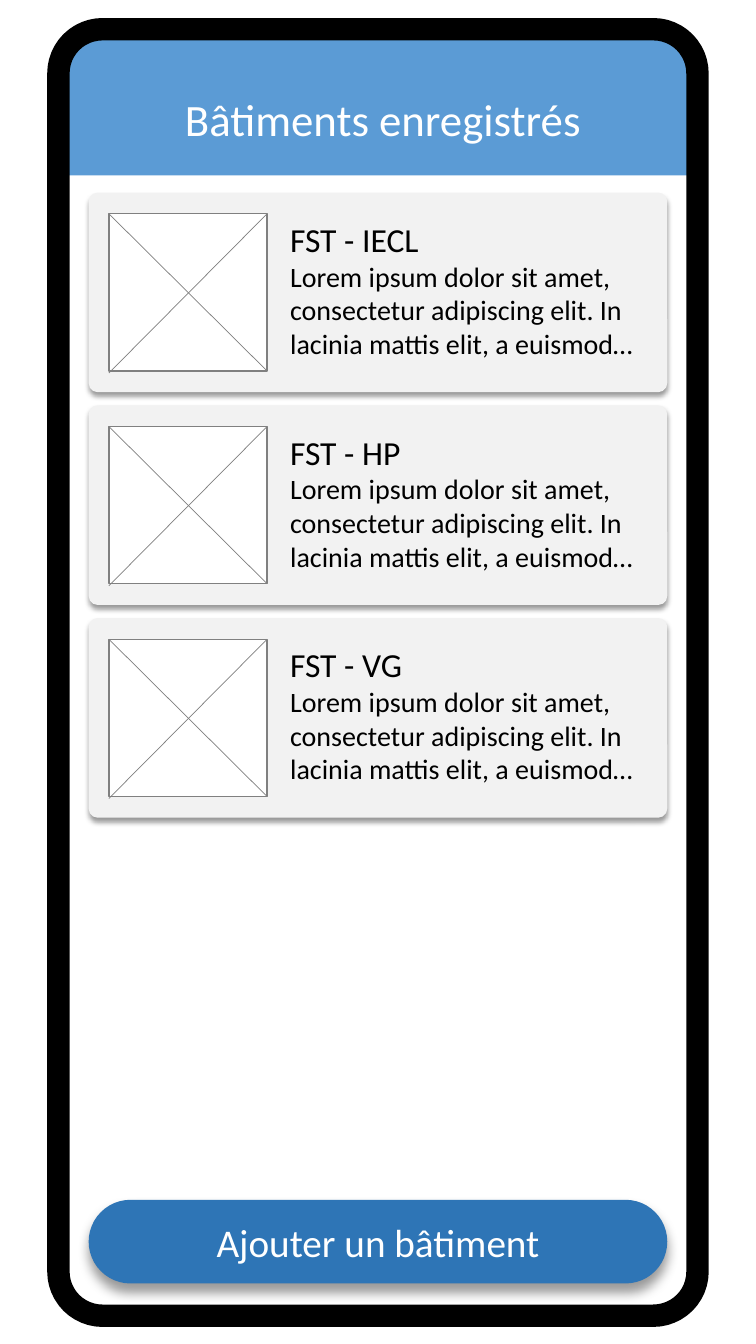
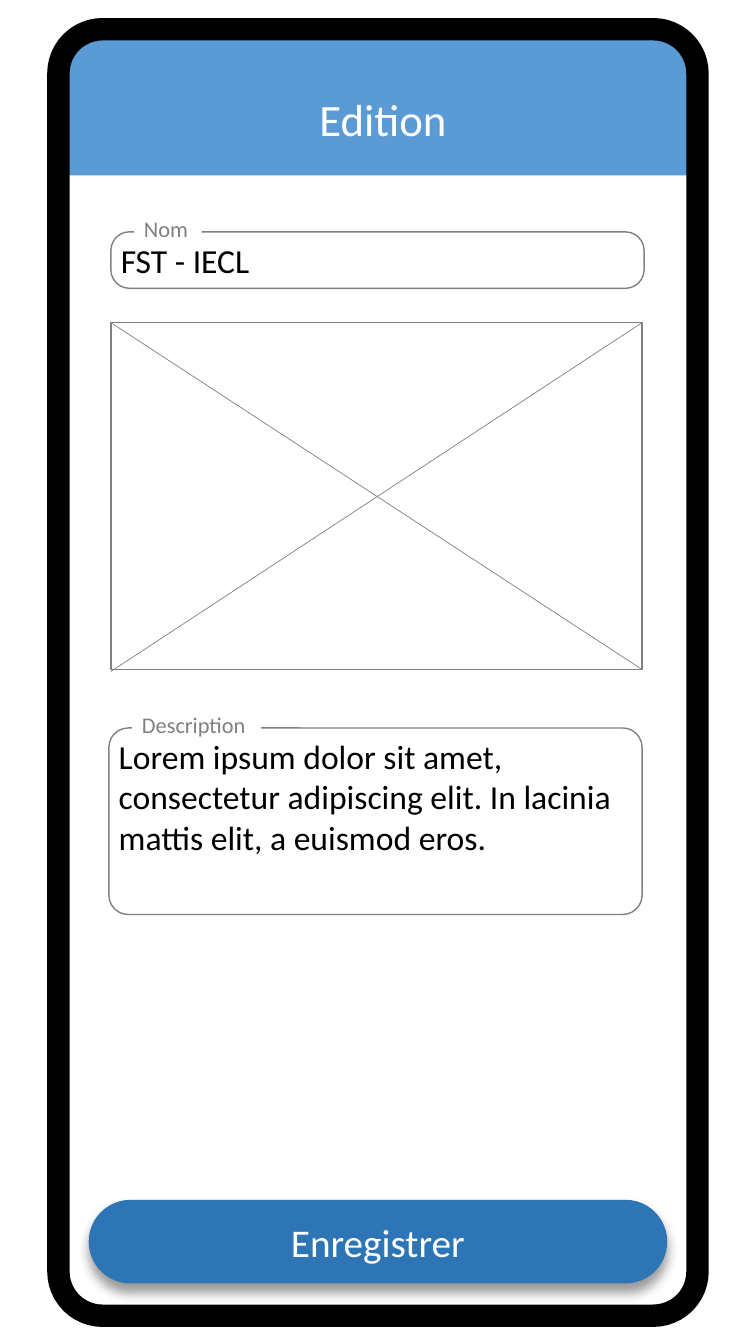
import pptx
import pptx.util
import pptx.dml.color
import pptx.enum.shapes
import pptx.enum.text
import pptx.oxml.ns
import lxml.etree

Inches = pptx.util.Inches
Pt = pptx.util.Pt
RGBColor = pptx.dml.color.RGBColor
Kind = pptx.enum.shapes.MSO_SHAPE
Align = pptx.enum.text.PP_ALIGN
Anchor = pptx.enum.text.MSO_ANCHOR
qn = pptx.oxml.ns.qn

SKY = RGBColor(0x5B, 0x9B, 0xD5)
BLUE = RGBColor(0x2E, 0x75, 0xB6)
PALE = RGBColor(0xF2, 0xF2, 0xF2)
GRAY = RGBColor(0x80, 0x80, 0x80)
WHITE = RGBColor(0xFF, 0xFF, 0xFF)
BLACK = RGBColor(0, 0, 0)
FONT = "Calibri"
LOREM = "Lorem ipsum dolor sit amet, consectetur adipiscing elit. In lacinia mattis elit, a euismod"


def draw(slide, kind, at, fill=None, line=None, width=1, round=None, blur=0, drop=0):
    shape = slide.shapes.add_shape(kind, *map(Inches, at))
    shape.shadow.inherit = False
    if fill is None:
        shape.fill.background()
    else:
        shape.fill.solid()
        shape.fill.fore_color.rgb = fill
    if line is None:
        shape.line.fill.background()
    else:
        shape.line.color.rgb = line
        shape.line.width = Pt(width)
    if round is not None:
        shape.adjustments[0] = round
    if blur:
        effect = shape.element.spPr.find(qn("a:effectLst"))
        shade = lxml.etree.SubElement(
            effect, qn("a:outerShdw"), blurRad=str(Pt(blur)), dist=str(Pt(drop)),
            dir="5400000", algn="t", rotWithShape="0")
        tint = lxml.etree.SubElement(shade, qn("a:srgbClr"), val=str(BLACK))
        lxml.etree.SubElement(tint, qn("a:alpha"), val="40000")
    return shape


def write(shape, lines, color, align=Align.LEFT, anchor=Anchor.TOP):
    frame = shape.text_frame
    frame.word_wrap = True
    frame.auto_size = pptx.enum.text.MSO_AUTO_SIZE.NONE
    frame.vertical_anchor = anchor
    frame.text = "\n".join(text for text, size in lines)
    for para, (text, size) in zip(frame.paragraphs, lines):
        para.alignment = align
        font = para.runs[0].font
        font.name = FONT
        font.size = Pt(size)
        font.color.rgb = color


deck = pptx.Presentation()
deck.slide_width = Inches(7.5)
deck.slide_height = Inches(13.33)

pages = []
for heading, action in [
    ("Bâtiments enregistrés", "Ajouter un bâtiment"),
    ("Edition", "Enregistrer"),
]:
    slide = deck.slides.add_slide(deck.slide_layouts[5])
    band = draw(slide, Kind.ROUND_2_SAME_RECTANGLE, (0.58, 0.29, 6.34, 1.45), SKY, round=0.345)
    title = slide.shapes.title
    title.left, title.top = Inches(1.47), Inches(0.86)
    title.width, title.height = Inches(4.66), Inches(0.64)
    write(title, [(heading, 32)], WHITE, Align.CENTER)
    band.element.addnext(title.element)
    draw(slide, Kind.ROUNDED_RECTANGLE, (0.58, 0.29, 6.34, 12.76), line=BLACK, width=16, round=0.069)
    button = draw(slide, Kind.ROUNDED_RECTANGLE, (0.88, 11.9, 5.74, 0.83), BLUE, round=0.5, blur=8, drop=6)
    write(button, [(action, 28)], WHITE, Align.CENTER, Anchor.MIDDLE)
    pages.append(slide)
home, edit = pages

frames = [(edit, 1.1, 3.2, 5.27, 3.44)]
for row, name in enumerate(["FST - IECL", "FST - HP", "FST - VG"]):
    top = 1.91 + row * 2.11
    draw(home, Kind.ROUNDED_RECTANGLE, (0.88, top, 5.74, 1.98), PALE, round=0.045, blur=4, drop=3)
    note = home.shapes.add_textbox(Inches(2.78), Inches(top + 0.21), Inches(3.64), Inches(1.51))
    write(note, [(name, 24), (LOREM + "…", 20)], BLACK)
    frames.append((home, 1.08, top + 0.21, 1.57, 1.56))

for slide, left, top, width, height in frames:
    draw(slide, Kind.RECTANGLE, (left, top, width, height), WHITE, GRAY)
    right, base = left + width, top + height
    for ends in [(left, top, right, base), (right, top, left, base + 0.02)]:
        line = slide.shapes.add_connector(
            pptx.enum.shapes.MSO_CONNECTOR.STRAIGHT, *map(Inches, ends))
        line.line.color.rgb = GRAY
        line.line.width = Pt(0.5)
        lxml.etree.SubElement(line.element.spPr, qn("a:effectLst"))

for label, value, left, top, height, span, round in [
    ("Nom", "FST - IECL", 1.1, 2.3, 0.56, 0.67, 0.329),
    ("Description", LOREM + " eros.", 1.08, 7.22, 1.85, 1.28, 0.104),
]:
    draw(edit, Kind.ROUNDED_RECTANGLE, (left, top, 5.29, height), line=GRAY, round=round)
    tag = draw(edit, Kind.RECTANGLE, (left + 0.23, top - 0.22, span, 0.37), WHITE)
    write(tag, [(label, 16)], GRAY)
    field = edit.shapes.add_textbox(Inches(left), Inches(top + 0.03), Inches(5.27), Inches(height - 0.06))
    write(field, [(value, 24)], BLACK)

deck.save("out.pptx")
